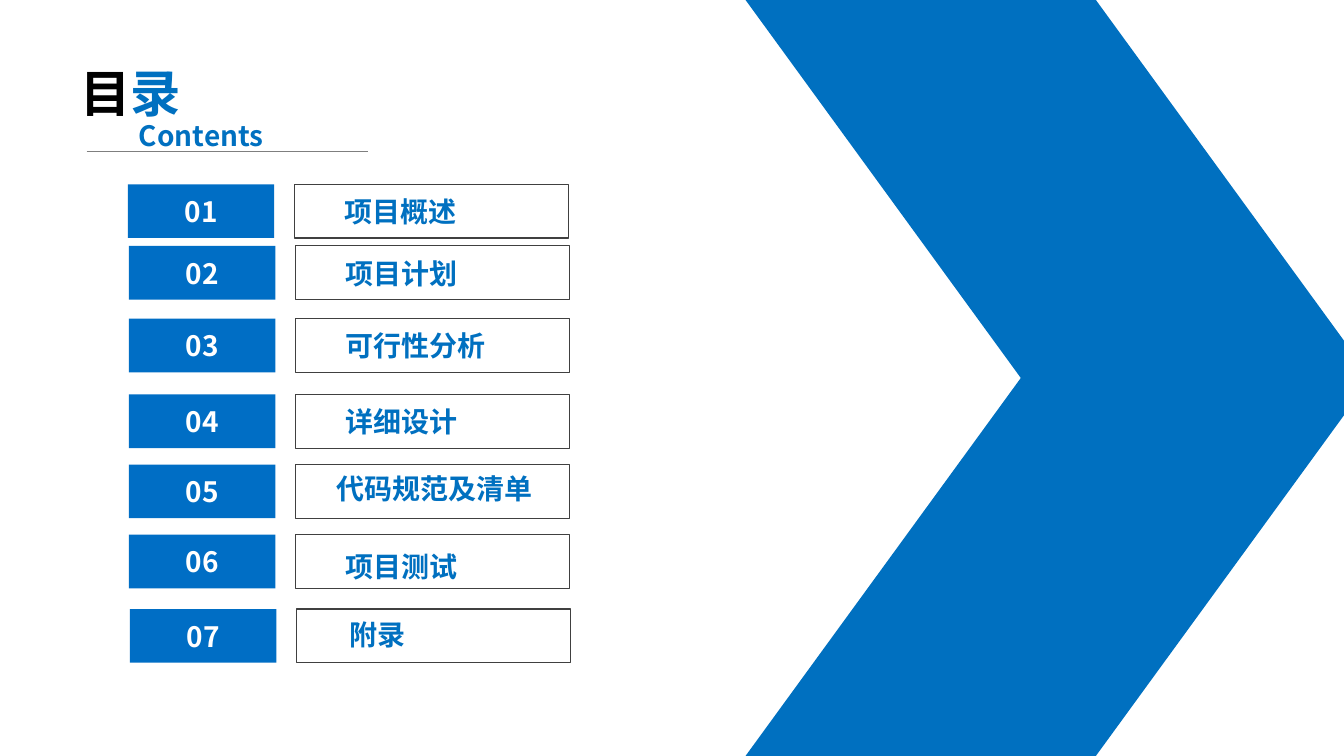
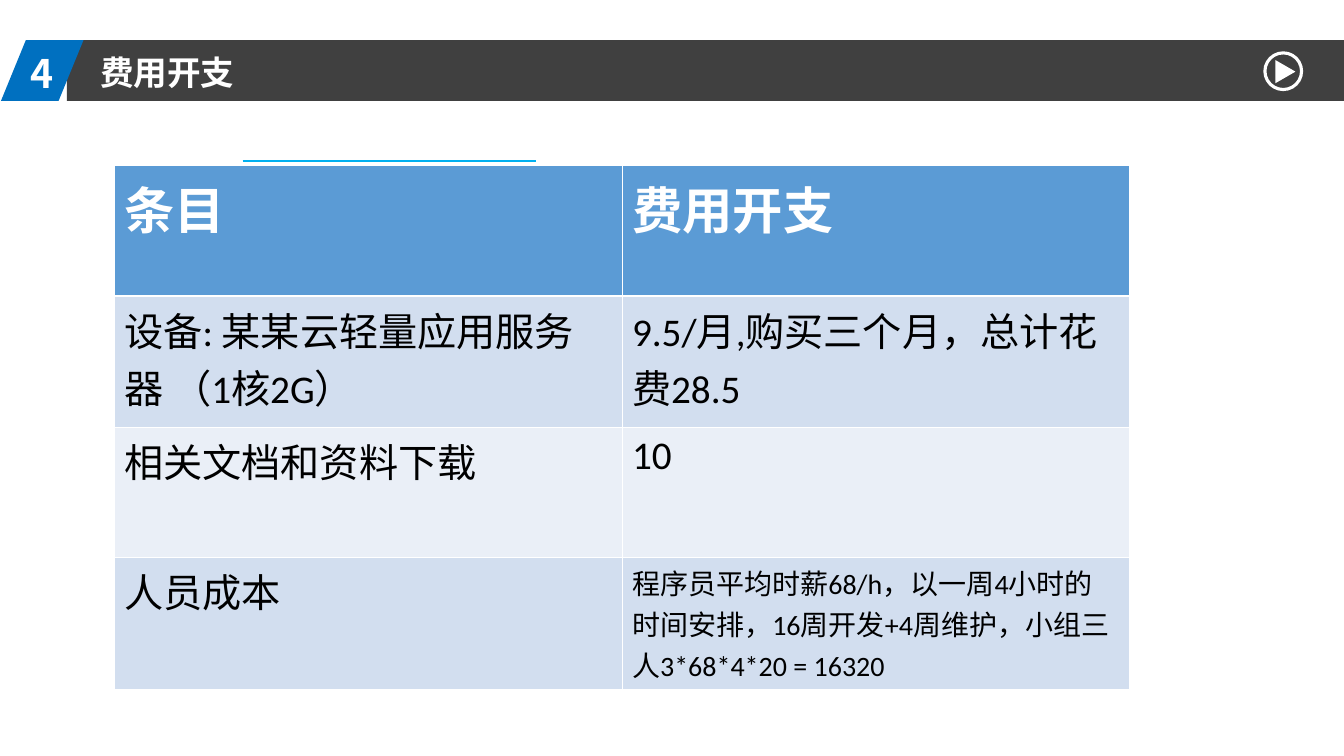
from lxml import etree
from pptx import Presentation
from pptx import util as u
from pptx.dml import color
from pptx.enum import shapes, text
from pptx.oxml.ns import qn

BLUE, NUMBER_BLUE, CYAN = "0070C0", "006EC5", "00B0F0"
DARK, GREY, BLACK, WHITE = "404040", "7F7F7F", "000000", "FFFFFF"
HEADER, BAND_DEEP, BAND_PALE = "5B9BD5", "D2DEEF", "EAEFF7"
HEAD_FONT, TABLE_FONT = "Noto Sans CJK SC", "Calibri"
WIDTH, HEIGHT = 960.48, 540
SHAPE = shapes.MSO_SHAPE
LEFT, CENTER = text.PP_ALIGN.LEFT, text.PP_ALIGN.CENTER


def rgb(value):
    return color.RGBColor.from_string(value)


def assign(target, values):
    for name, value in values.items():
        setattr(target, name, value)


class Painter:
    """Holds the deck's style and the slide being drawn."""

    def __init__(self):
        self.deck = Presentation()
        assign(self.deck, {"slide_width": u.Pt(WIDTH), "slide_height": u.Pt(HEIGHT)})
        self.page = None

    def new_page(self):
        self.page = self.deck.slides.add_slide(self.deck.slide_layouts[5])

    def put_text(self, frame, spans, size, align=LEFT, bold=True, font=HEAD_FONT):
        """Fill a text frame with one paragraph of (wording, colour) spans."""
        frame.word_wrap = True
        para = frame.paragraphs[0]
        para.alignment = align
        for wording, tint in spans:
            span = para.add_run()
            span.text = wording
            assign(span.font, {"size": u.Pt(size), "bold": bold, "name": font})
            span.font.color.rgb = rgb(tint)
            east = etree.SubElement(span.font._element, qn("a:ea"))
            east.set("typeface", HEAD_FONT)

    def title(self, box, spans, size):
        holder = self.page.shapes.title
        for name, value in zip(("left", "top", "width", "height"), box):
            setattr(holder, name, u.Pt(value))
        assign(holder.text_frame, {"auto_size": text.MSO_AUTO_SIZE.NONE,
                                   "vertical_anchor": text.MSO_ANCHOR.MIDDLE})
        self.put_text(holder.text_frame, spans, size)
        self.page.shapes._spTree.append(holder._element)  # in front of the band

    def label(self, box, wording, size, tint):
        holder = self.page.shapes.add_textbox(*map(u.Pt, box))
        holder.text_frame.vertical_anchor = text.MSO_ANCHOR.MIDDLE
        self.put_text(holder.text_frame, [(wording, tint)], size)

    def shape(self, kind, box, fill=None, line=None, weight=0.75, adjust=None):
        item = self.page.shapes.add_shape(kind, *map(u.Pt, box))
        item.shadow.inherit = False
        if adjust is not None:
            item.adjustments[0] = adjust
        for paint, tint in ((item.fill, fill), (item.line.fill, line)):
            if tint:
                paint.solid()
                paint.fore_color.rgb = rgb(tint)
            else:
                paint.background()
        if line:
            item.line.width = u.Pt(weight)
        return item

    def rule(self, left, right, top, tint, weight):
        line = self.page.shapes.add_connector(
            shapes.MSO_CONNECTOR.STRAIGHT, *map(u.Pt, (left, top, right, top)))
        line.line.color.rgb = rgb(tint)
        line.line.width = u.Pt(weight)
        etree.SubElement(line._element.spPr, qn("a:effectLst"))

    def borders(self, cell, **weights):
        props = cell._tc.get_or_add_tcPr()
        for side in "LRTB":
            edge = etree.SubElement(props, qn("a:ln" + side),
                                    w=str(u.Pt(weights.get(side, 0.45))))
            paint = etree.SubElement(edge, qn("a:solidFill"))
            etree.SubElement(paint, qn("a:srgbClr"), val=WHITE)

    def table(self, box, rows):
        """Rows hold (wording, size) cells; the first row is the header."""
        grid = self.page.shapes.add_table(
            len(rows), len(rows[0]), *map(u.Pt, box)).table
        grid.horz_banding = False
        for r, row in enumerate(rows):
            fill = HEADER if r == 0 else BAND_DEEP if r % 2 else BAND_PALE
            for c, (wording, size) in enumerate(row):
                cell = grid.cell(r, c)
                heavy = {0: {"B": 1.47}, 1: {"T": 1.47}}.get(r, {})
                self.borders(cell, **heavy)
                cell.fill.solid()
                cell.fill.fore_color.rgb = rgb(fill)
                self.put_text(cell.text_frame, [(wording, BLACK if r else WHITE)],
                              size, bold=r == 0, font=TABLE_FONT)

    def entry(self, number, wording, left, top, indent, drop):
        """Contents row: a number block and an outlined label."""
        block = self.shape(SHAPE.RECTANGLE, (left, top, 104.6, 38.4), NUMBER_BLUE)
        self.put_text(block.text_frame, [(f"{number:02}", WHITE)], 20, CENTER)
        frame = self.shape(SHAPE.RECTANGLE, (left + 119, top, 196, 38.4),
                           line=DARK).text_frame
        assign(frame, {"margin_left": u.Pt(indent), "margin_right": 0,
                       "margin_top": u.Pt(3.6 + drop),
                       "margin_bottom": u.Pt(3.6 - drop)})
        self.put_text(frame, [(wording, BLUE)], 20)


def contents(painter):
    painter.new_page()
    painter.shape(SHAPE.CHEVRON, (532.8, 0, 447.1, HEIGHT), BLUE, adjust=0.44)

    # Heading
    painter.title((50.4, 41, 113, 50.4), [("目", BLACK), ("录", BLUE)], 36)
    painter.rule(62, 263, 108, GREY, 0.5)
    painter.label((92.2, 80.6, 113, 31.7), "Contents", 20, BLUE)

    # Entries: wording, left, top, label indent, label drop
    entries = [
        ("项目概述", 91.4, 131.6, 36, 0),
        ("项目计划", 92.2, 175.7, 36, 0),
        ("可行性分析", 92.2, 227.6, 36, 0),
        ("详细设计", 92.2, 281.7, 36, 0),
        ("代码规范及清单", 92.2, 331.8, 29, -2),
        ("项目测试", 92.2, 381.8, 35.5, 3.2),
        ("附录", 92.9, 435, 38, -1),
    ]
    for number, entry in enumerate(entries, 1):
        painter.entry(number, *entry)


def expenses(painter):
    painter.new_page()
    painter.table((81.6, 118.4, 725.8, 373), [
        [("条目", 36), ("费用开支", 36)],
        [("设备: 某某云轻量应用服务器 （1核2G）", 28),
         ("9.5/月,购买三个月，总计花费28.5", 28)],
        [("相关文档和资料下载", 28), ("10", 28)],
        [("人员成本", 28),
         ("程序员平均时薪68/h，以一周4小时的时间安排，16周开发+4周维护，"
          "小组三人3*68*4*20 = 16320", 20)],
    ])

    # Title band with its section number
    painter.shape(SHAPE.RECTANGLE, (47.7, 28.6, WIDTH - 47.7, 43.4), DARK)
    painter.shape(SHAPE.PARALLELOGRAM, (0.7, 28.6, 59, 43.4), BLUE, adjust=0.41)
    painter.label((14.4, 31.7, 49.7, 41), "4", 28, WHITE)
    painter.title((64.4, 33.1, 197, 36), [("费用开支", WHITE)], 24)
    painter.rule(173.5, 383, 115, CYAN, 1.5)

    # Play button
    painter.shape(SHAPE.OVAL, (904, 37.8, 26.2, 26.2), line=WHITE, weight=2.25)
    arrow = painter.shape(SHAPE.ISOSCELES_TRIANGLE, (910.3, 44, 16.6, 14.4), WHITE)
    arrow.rotation = 90


def main():
    painter = Painter()
    contents(painter)
    expenses(painter)
    painter.deck.save("out.pptx")


if __name__ == "__main__":
    main()
